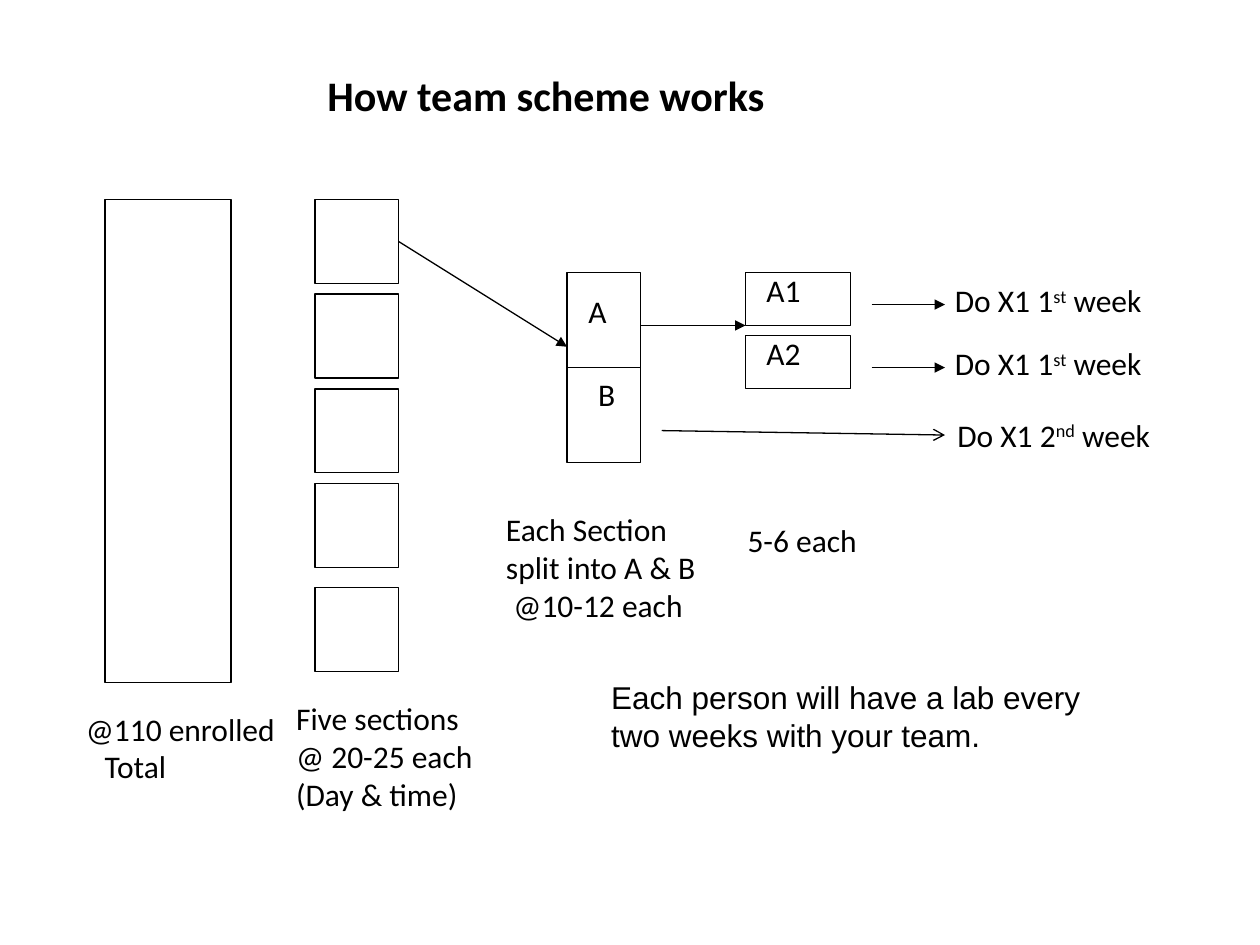
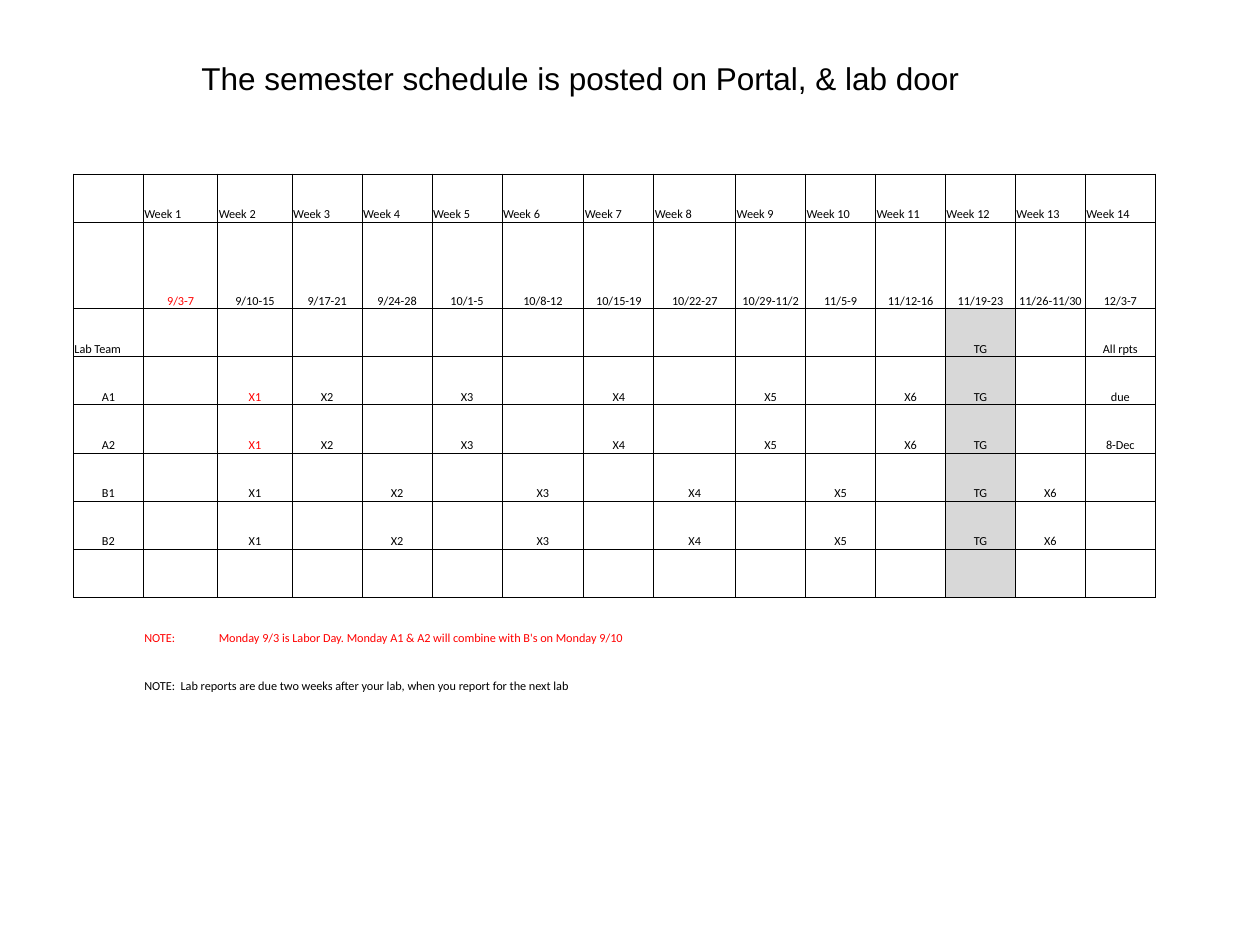
from lxml.etree import SubElement
from pptx import Presentation
from pptx.dml.color import RGBColor
from pptx.enum.shapes import MSO_CONNECTOR, MSO_SHAPE
from pptx.enum.text import MSO_ANCHOR, MSO_AUTO_SIZE, PP_ALIGN
from pptx.oxml.ns import qn
from pptx.util import Cm, Pt

INK = {"text": "000000", "alert": "FF0000", "paper": "FFFFFF", "break": "D8D8D8"}
WEEKS = 14
GRID = range(1, 9)
BREAK = 12
DATES = ("9/3-7,9/10-15,9/17-21,9/24-28,10/1-5,10/8-12,10/15-19,10/22-27,"
         "10/29-11/2,11/5-9,11/12-16,11/19-23,11/26-11/30,12/3-7").split(",")
LABS = {"A": (2, 3, 5, 7, 9, 11), "B": (2, 4, 6, 8, 10, 13)}
TEAMS = ("A1", "A2", "B1", "B2")
DUE = {3: "All rpts", 4: "due", 5: "8-Dec"}
ALERTS = {(2, 1), (4, 2), (5, 2), (9, 1), (9, 2)}
NOTES = {
    (9, 1): "NOTE:",
    (9, 2): "Monday 9/3 is Labor Day. Monday A1 & A2 will combine with B's on Monday 9/10",
    (10, 1): "NOTE:  Lab reports are due two weeks after your lab, when you report for the next lab",
}


def tint(name):
    """Return the named colour."""
    return RGBColor.from_string(INK[name])


def style(para, size, face="Calibri", color="text", bold=False):
    """Set the font of a whole paragraph."""
    font = para.font
    font.size, font.name, font.bold = Pt(size), face, bold
    font.color.rgb = tint(color)


def write(para, text):
    """Add runs, raising each part set between carets."""
    for i, part in enumerate(text.split("^")):
        run = para.add_run()
        run.text = part
        if i % 2:
            run._r.get_or_add_rPr().set("baseline", "30000")


def label(slide, x, y, w, h, lines, size=18, face="Calibri", bold=False,
          wrap=False, inset=0):
    """Add a text box whose last line may be inset."""
    box = slide.shapes.add_textbox(Cm(x), Cm(y), Cm(w), Cm(h))
    frame = box.text_frame
    frame.word_wrap = wrap
    frame.auto_size = MSO_AUTO_SIZE.SHAPE_TO_FIT_TEXT
    for i, line in enumerate(lines):
        para = frame.add_paragraph() if i else frame.paragraphs[0]
        write(para, line)
        style(para, size, face, bold=bold)
    if inset:
        para._p.get_or_add_pPr().set("marL", str(Cm(inset)))


def block(slide, x, y, w, h):
    """Add an outlined rectangle without fill."""
    rect = slide.shapes.add_shape(MSO_SHAPE.RECTANGLE, Cm(x), Cm(y), Cm(w), Cm(h))
    rect.shadow.inherit = False
    rect.fill.background()
    rect.line.color.rgb = tint("text")
    rect.line.width = Pt(0.75)


def arrow(slide, x, y, to_x, to_y, head="triangle"):
    """Add a line with an arrowhead at its end."""
    link = slide.shapes.add_connector(
        MSO_CONNECTOR.STRAIGHT, Cm(x), Cm(y), Cm(to_x), Cm(to_y))
    link.line.color.rgb = tint("text")
    link.line.width = Pt(0.75)
    props = link._element.spPr
    SubElement(props.find(qn("a:ln")), qn("a:tailEnd"), type=head)
    SubElement(props, qn("a:effectLst"))


def frame_cell(cell):
    """Draw a thin border on all sides of a cell."""
    props = cell._tc.get_or_add_tcPr()
    for side in "LRTB":
        line = SubElement(props, qn(f"a:ln{side}"), w=str(Pt(0.5)))
        fill = SubElement(line, qn("a:solidFill"))
        SubElement(fill, qn("a:srgbClr"), val=INK["text"])


def entries():
    """Return the schedule text by row and column."""
    texts = {(3, 0): "Lab Team", **NOTES}
    for week, date in enumerate(DATES, 1):
        texts[1, week] = f"Week {week}"
        texts[2, week] = date
    for row, team in enumerate(TEAMS, 4):
        texts[row, 0] = team
        for lab, week in enumerate(LABS[team[0]], 1):
            texts[row, week] = f"X{lab}"
    for row in range(3, 8):
        texts[row, BREAK] = "TG"
    for row, text in DUE.items():
        texts[row, WEEKS] = text
    return texts


def fill_cell(cell, row, col, text):
    """Set the text, border and fill of one schedule cell."""
    cell.margin_left = cell.margin_right = cell.margin_top = Cm(0.02)
    cell.margin_bottom = 0
    cell.vertical_anchor = MSO_ANCHOR.BOTTOM
    if row in GRID:
        frame_cell(cell)
    cell.fill.solid()
    rest = col == BREAK and 3 <= row <= 8
    cell.fill.fore_color.rgb = tint("break" if rest else "paper")
    para = cell.text_frame.paragraphs[0]
    if text:
        write(para, text)
    style(para, 7, color="alert" if (row, col) in ALERTS else "text")
    left = row == 1 or row > 8 or (row, col) == (3, 0)
    para.alignment = PP_ALIGN.LEFT if left else PP_ALIGN.CENTER


def schedule(slide):
    """Add the table of weeks and lab teams."""
    wide = {1: 1.5, 2: 1.5, 6: 1.65, 8: 1.65}
    table = slide.shapes.add_table(
        11, WEEKS + 1, Cm(1.48), Cm(2.54), Cm(21.81), Cm(11.44)).table
    table.first_row = table.horz_banding = False
    table._tbl.tblPr.find(qn("a:tableStyleId")).text = (
        "{2D5ABB26-0587-4C30-8999-92F81FD0307C}")
    for col, column in enumerate(table.columns):
        column.width = Cm(wide.get(col, 1.41))
    texts = entries()
    for row, band in enumerate(table.rows):
        band.height = Cm(1.74 if row == 2 else 0.97)
        for col, cell in enumerate(band.cells):
            fill_cell(cell, row, col, texts.get((row, col)))
    table.cell(9, 2).merge(table.cell(9, 9))
    table.cell(10, 1).merge(table.cell(10, 8))


def scheme(slide):
    """Show how the class splits into sections and teams."""
    label(slide, 6.35, 1.27, 9.47, 1.27, ["How team scheme works"], 24, bold=True)
    block(slide, 2.12, 4.02, 2.54, 9.74)
    for y in [4.02 + 1.91 * i for i in range(4)] + [11.85]:
        block(slide, 6.35, y, 1.69, 1.69)
    arrow(slide, 8.04, 4.87, 11.43, 6.99)
    for i in range(2):
        block(slide, 11.43, 5.5 + 1.91 * i, 1.48, 1.91)
    arrow(slide, 12.91, 6.56, 15.03, 6.56)
    label(slide, 11.61, 5.77, 1.02, 1.09, ["A"])
    label(slide, 11.81, 7.44, 1, 1.09, ["B"])
    for i, team in enumerate(TEAMS[:2]):
        drop = 1.27 * i
        block(slide, 15.03, 5.5 + drop, 2.12, 1.06)
        label(slide, 15.2, 5.33 + drop, 1.37, 1.09, [team])
        arrow(slide, 17.57, 6.14 + drop, 19.05, 6.14 + drop)
        label(slide, 19, 5.54 + drop, 4.37, 1.02, ["Do X1 1^st^ week"])
    arrow(slide, 13.34, 8.68, 19.05, 8.77, "arrow")
    label(slide, 19.05, 8.26, 4.5, 1.02, ["Do X1 2^nd^ week"])
    label(slide, 1.48, 14.18, 4.37, 1.8, ["@110 enrolled", "Total"], inset=0.38)
    label(slide, 5.72, 13.97, 4.11, 3.33,
          ["Five sections", "@ 20-25 each", "(Day & time)"])
    label(slide, 9.95, 10.16, 4.37, 2.57,
          ["Each Section", "split into A & B", "@10-12 each"], inset=0.15)
    label(slide, 14.82, 10.37, 2.74, 1.02, ["5-6 each"])
    label(slide, 12.07, 13.55, 10.8, 1.8,
          ["Each person will have a lab every", "two weeks with your team."],
          face="Arial", wrap=True)


def main():
    """Build both slides and save them."""
    deck = Presentation()
    deck.slide_width, deck.slide_height = Cm(25.4), Cm(19.05)
    blank = deck.slide_layouts[6]
    scheme(deck.slides.add_slide(blank))
    plan = deck.slides.add_slide(blank)
    label(plan, 3.81, 1.06, 16.43, 1.02,
          ["The semester schedule is posted on Portal, & lab door"], face="Arial")
    schedule(plan)
    deck.save("out.pptx")


if __name__ == "__main__":
    main()
